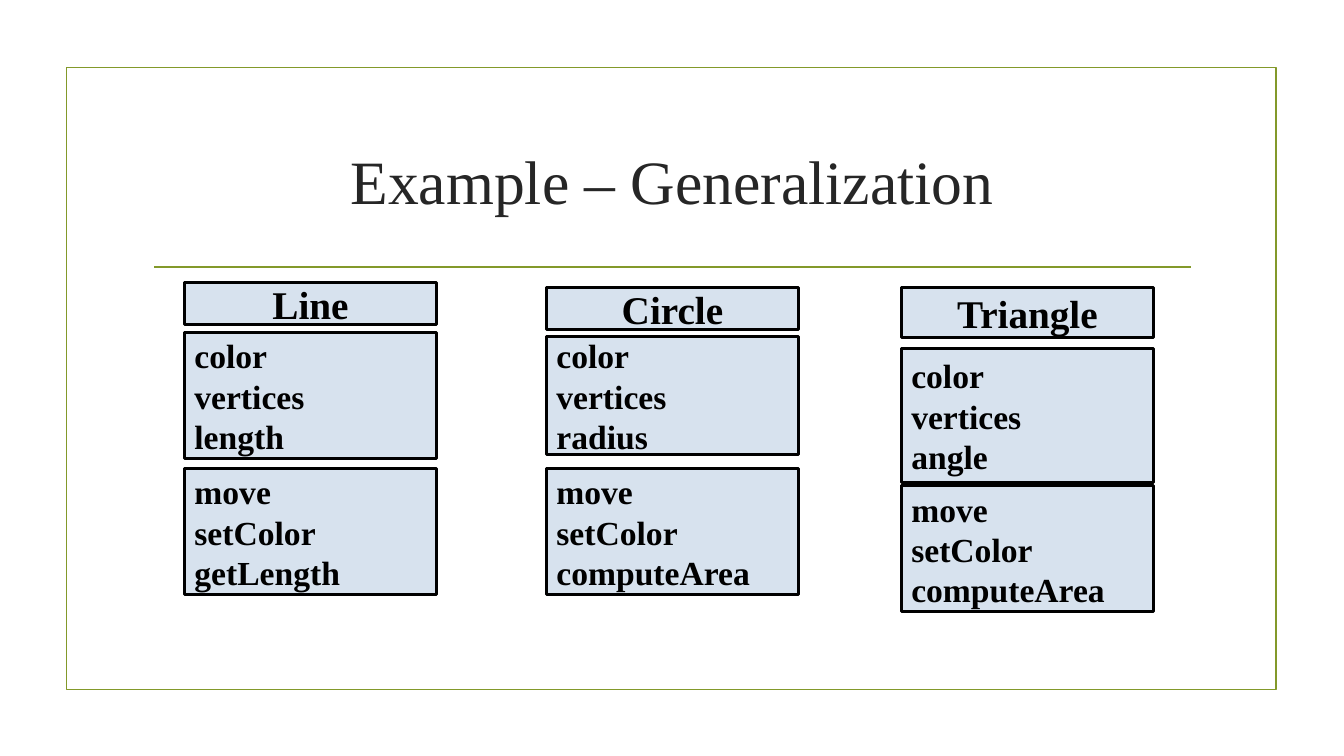
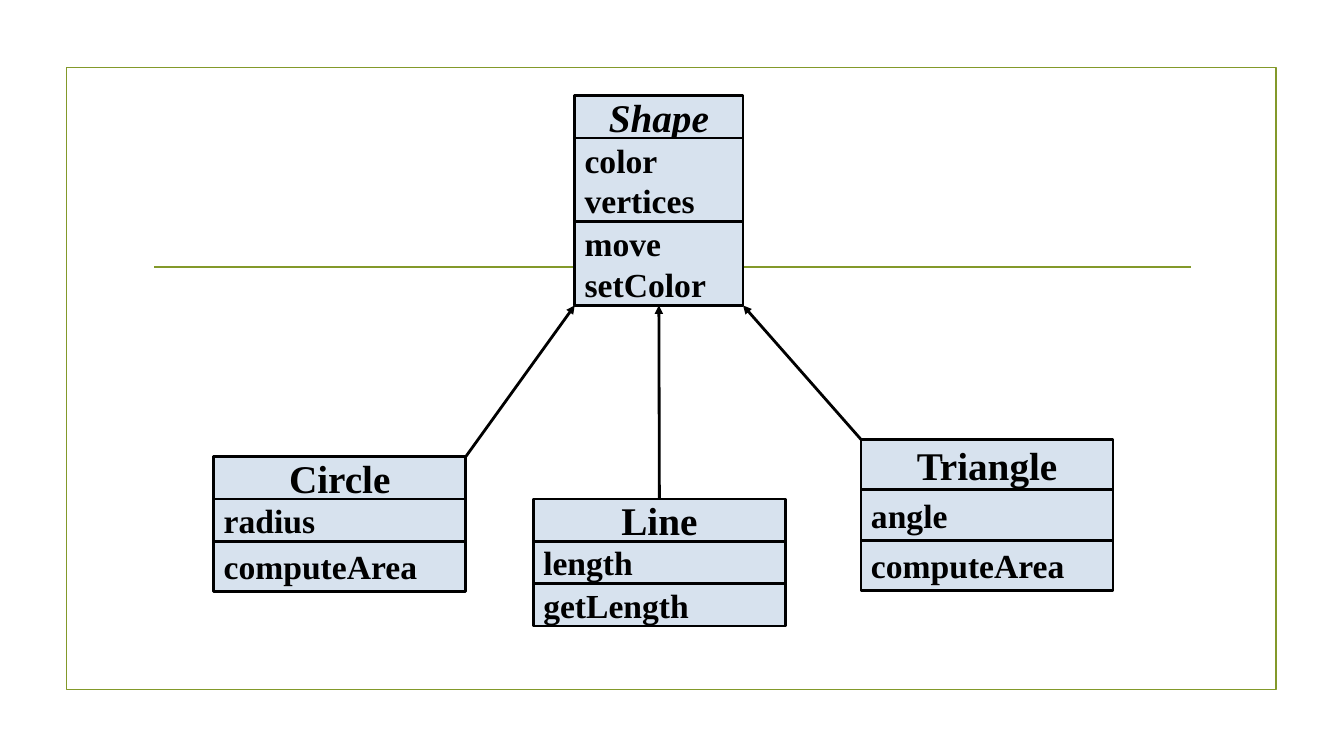
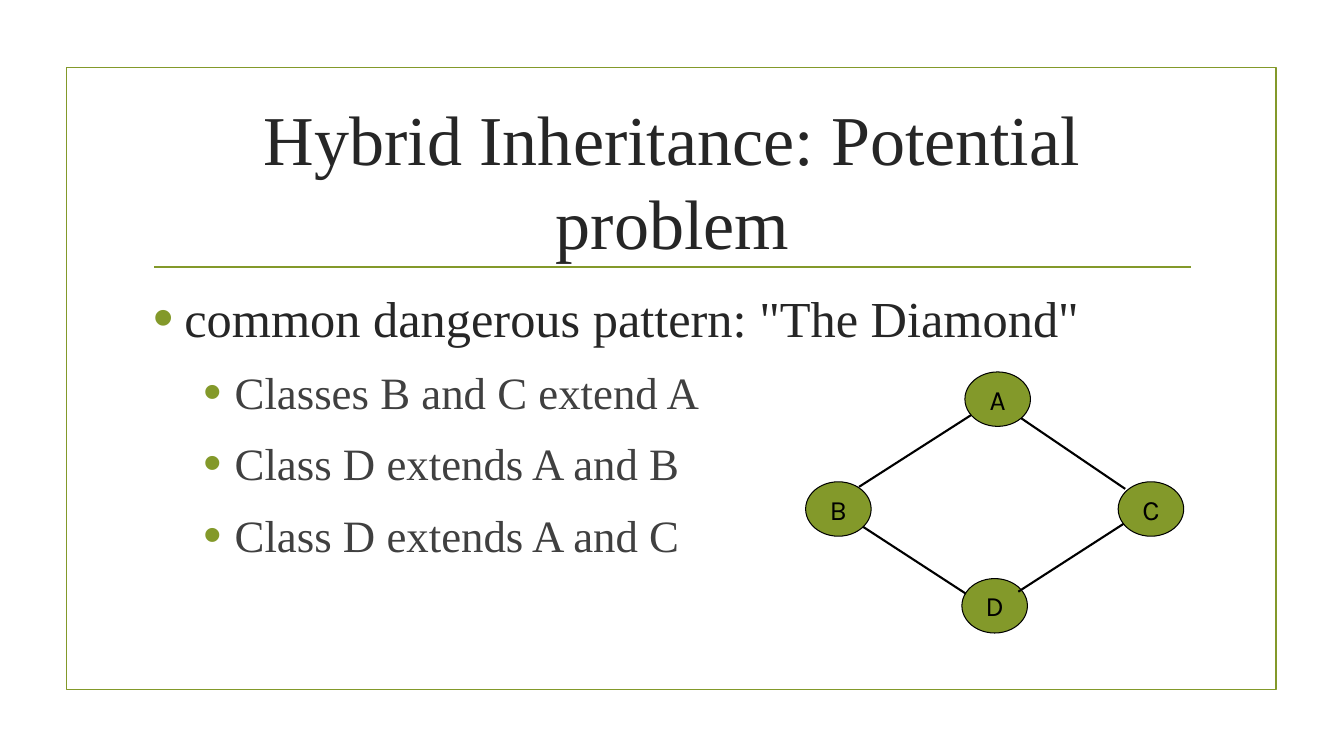
from lxml import etree
from pptx import Presentation
from pptx.dml.color import RGBColor
from pptx.enum import shapes, text
from pptx.oxml.ns import qn
from pptx.util import Inches, Pt

OLIVE = RGBColor(0x83, 0x99, 0x2A)
PALE = RGBColor(0xD7, 0xE2, 0xEE)
BLACK = RGBColor(0, 0, 0)
DARK = RGBColor(0x26, 0x26, 0x26)
GREY = RGBColor(0x40, 0x40, 0x40)
SERIF, SANS = "Times New Roman", "Karla"
LEFT, MID = text.PP_ALIGN.LEFT, text.PP_ALIGN.CENTER
RECT, OVAL = shapes.MSO_SHAPE.RECTANGLE, shapes.MSO_SHAPE.OVAL


def write(par, words, size, font=SERIF, color=BLACK, bold=False,
          italic=False, align=LEFT, before=0, after=0):
    par.alignment = align
    par.space_before, par.space_after = Pt(before), Pt(after)
    run = par.add_run()
    run.text = words
    face = run.font
    face.name, face.size = font, Pt(size)
    face.bold, face.italic = bold, italic
    face.color.rgb = color


def bullet(par, left, hang):
    props = par._p.get_or_add_pPr()
    props.set("marL", str(Inches(left)))
    props.set("indent", str(-Inches(hang)))
    tint = etree.SubElement(props, qn("a:buClr"))
    etree.SubElement(tint, qn("a:srgbClr"), val=str(OLIVE))
    etree.SubElement(props, qn("a:buSzPct"), val="115000")
    etree.SubElement(props, qn("a:buFont"), typeface="Arial")
    etree.SubElement(props, qn("a:buChar"), char="•")


class Deck:
    def __init__(self):
        self.show = Presentation()
        self.show.slide_width = Inches(13.33)
        self.show.slide_height = Inches(7.5)
        self.page = None

    def start(self, title=None, size=44):
        """Add a slide with its frame, rule and optional title."""
        self.page = self.show.slides.add_slide(self.show.slide_layouts[6])
        self.shape(RECT, 0.66, 0.67, 12, 6.17, None, OLIVE, 1.25)
        self.line((1.53, 2.65), (11.81, 2.65), OLIVE, 1.25)
        if title:
            frame = self.area(1.42, 1.07, 10.5, 1.43)
            frame.vertical_anchor = text.MSO_ANCHOR.MIDDLE
            write(frame.paragraphs[0], title, size, color=DARK, align=MID)

    def area(self, x, y, w, h):
        """Add a wrapping text box and return its text frame."""
        box = self.page.shapes.add_textbox(
            Inches(x), Inches(y), Inches(w), Inches(h))
        box.text_frame.word_wrap = True
        return box.text_frame

    def shape(self, kind, x, y, w, h, fill, color=BLACK, width=2.0):
        item = self.page.shapes.add_shape(
            kind, Inches(x), Inches(y), Inches(w), Inches(h))
        item.shadow.inherit = False
        if fill is None:
            item.fill.background()
        else:
            item.fill.solid()
            item.fill.fore_color.rgb = fill
        item.line.color.rgb = color
        item.line.width = Pt(width)
        item.text_frame.vertical_anchor = text.MSO_ANCHOR.MIDDLE
        return item

    def line(self, start, end, color=BLACK, width=2.0, arrow=False):
        item = self.page.shapes.add_connector(
            shapes.MSO_CONNECTOR.STRAIGHT, *map(Inches, start + end))
        item.line.color.rgb = color
        item.line.width = Pt(width)
        if arrow:
            etree.SubElement(item.line._get_or_add_ln(), qn("a:tailEnd"),
                             type="triangle")
        etree.SubElement(item._element.spPr, qn("a:effectLst"))
        return item

    def card(self, x, y, w, name, fields, calls, highs, gaps=(0, 0),
             italic=False):
        """Stack a class's name, fields and calls; return the three boxes."""
        boxes = []
        parts = ([name], fields.split(), calls.split())
        for part, high, gap in zip(parts, highs, (*gaps, 0)):
            box = self.shape(RECT, x, y, w, high, PALE)
            frame = box.text_frame
            head = not boxes
            for i, words in enumerate(part):
                par = frame.add_paragraph() if i else frame.paragraphs[0]
                write(par, words, 28 if head else 24, bold=True,
                      italic=italic and head, align=MID if head else LEFT)
            boxes.append(box)
            y += high + gap
        return boxes

    def node(self, x, y, name):
        item = self.shape(OVAL, x, y, 0.65, 0.54, OLIVE, width=0.75)
        write(item.text_frame.paragraphs[0], name, 20, SANS, align=MID,
              before=10)

    def points(self, items):
        """Write a bulleted list of (level, words) pairs."""
        frame = self.area(1.42, 2.8, 10.5, 3.63)
        for i, (level, words) in enumerate(items):
            par = frame.add_paragraph() if i else frame.paragraphs[0]
            par.level = level
            size = 32 if level else 36
            write(par, words, size, color=GREY if level else DARK,
                  before=size * 0.2, after=6)
            bullet(par, 0.31 + level * 0.5, 0.31)


def classes(deck):
    deck.start("Example – Generalization")
    deck.card(1.83, 2.8, 2.5, "Line", "color vertices length",
              "move setColor getLength", (0.42, 1.25, 1.25), (0.08, 0.1))
    deck.card(5.42, 2.85, 2.5, "Circle", "color vertices radius",
              "move setColor computeArea", (0.42, 1.17, 1.25), (0.07, 0.14))
    deck.card(8.94, 2.85, 2.5, "Triangle", "color vertices angle",
              "move setColor computeArea", (0.5, 1.33, 1.25), (0.11, 0.03))


def tree(deck):
    deck.start()
    base = deck.card(5.7, 0.95, 1.67, "Shape", "color vertices",
                     "move setColor", (0.42, 0.83, 0.83), italic=True)
    deck.card(2.12, 4.53, 2.5, "Circle", "radius", "computeArea",
              (0.42, 0.42, 0.5))
    child = deck.card(5.29, 4.95, 2.5, "Line", "length", "getLength",
                      (0.42, 0.42, 0.42))
    deck.card(8.54, 4.36, 2.5, "Triangle", "angle", "computeArea",
              (0.5, 0.5, 0.5))
    stem = deck.line((6.54, 4.95), (6.54, 3.03), arrow=True)
    stem.begin_connect(child[0], 0)
    stem.end_connect(base[-1], 2)
    deck.line((4.62, 4.53), (5.7, 3.03), arrow=True)
    deck.line((8.54, 4.36), (7.37, 3.03), arrow=True)


def diamond(deck):
    deck.start("Hybrid Inheritance: Potential problem", 50)
    deck.points([
        (0, 'common dangerous pattern: "The Diamond"'),
        (1, "Classes B and C extend A"),
        (1, "Class D extends A and B"),
        (1, "Class D extends A and C"),
    ])
    deck.node(9.54, 5.74, "D")
    for start, end in (((11.17, 5.18), (10.1, 5.87)),
                       ((8.52, 5.2), (9.58, 5.89)),
                       ((11.16, 4.85), (10.1, 4.13)),
                       ((8.52, 4.83), (9.66, 4.1))):
        deck.line(start, end, width=1.5)
    for x, y, name in ((7.99, 4.78, "B"), (11.09, 4.78, "C"),
                       (9.57, 3.69, "A")):
        deck.node(x, y, name)


def main():
    deck = Deck()
    for build in (classes, tree, diamond):
        build(deck)
    deck.show.save("out.pptx")


if __name__ == "__main__":
    main()
